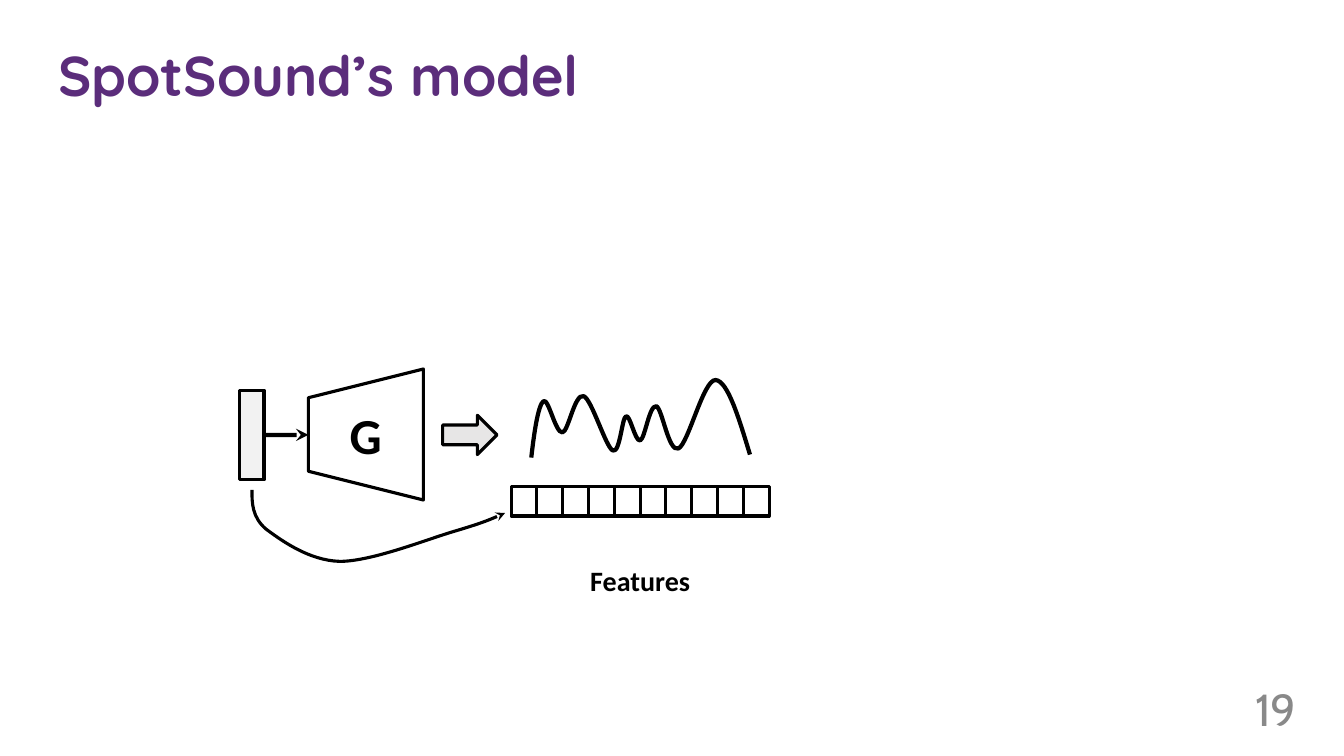
import pptx
import pptx.dml.color
import pptx.enum.shapes
import pptx.enum.text
import pptx.oxml
import pptx.oxml.ns
import pptx.oxml.xmlchemy
import pptx.util

RGBColor = pptx.dml.color.RGBColor
PURPLE = RGBColor(0x5B, 0x2D, 0x7B)
BLACK = RGBColor(0, 0, 0)
GREY = RGBColor(0x89, 0x89, 0x89)
ARROW_GREY = RGBColor(0xE7, 0xE6, 0xE6)
PALE_GREY = RGBColor(0xF2, 0xF2, 0xF2)

Pt = pptx.util.Pt
SHAPE = pptx.enum.shapes.MSO_SHAPE
ALIGN = pptx.enum.text.PP_ALIGN
qn = pptx.oxml.ns.qn
OxmlElement = pptx.oxml.xmlchemy.OxmlElement

# The slide is a grid of 100 columns by 100 rows.
WIDTH, HEIGHT = pptx.util.Inches(13.33), pptx.util.Inches(7.5)

STRIP_LEFT, STRIP_TOP, STRIP_HEIGHT = 38.03, 64.4, 3.87
CELL_WIDTH, CELL_COUNT = 1.92, 10
STRIP_WIDTH = CELL_WIDTH * CELL_COUNT
AXIS_ROW = 57.53

# Each curve: a start point, then rows of two control points and an end point.
SKIP_CURVE = [
    (18.75, 64.8),
    (18.75, 66.53), (18.75, 68.4), (19.8, 70),
    (20.93, 71.47), (22.95, 74.13), (25.28, 74.27),
    (27.68, 74.27), (31.8, 71.33), (33.83, 70.27),
    (35.85, 69.2), (36.75, 68.53), (37.58, 67.87),
]
SOUND_WAVE = [
    (39.53, 60.53),
    (39.75, 57.07), (40.05, 53.6), (40.43, 53.07),
    (40.8, 52.53), (41.33, 57.33), (41.85, 57.2),
    (42.3, 57.07), (42.75, 52), (43.43, 52.4),
    (44.03, 52.8), (45.08, 59.2), (45.6, 59.6),
    (46.13, 60), (46.28, 55.2), (46.58, 55.07),
    (46.88, 54.8), (47.25, 58.4), (47.63, 58.27),
    (48, 58), (48.3, 53.6), (48.83, 53.73),
    (49.28, 54), (49.73, 59.87), (50.48, 59.33),
    (51.23, 58.67), (52.35, 50.13), (53.25, 50.27),
    (54.15, 50.4), (54.98, 55.33), (55.8, 60.13),
]


def grid(*values):
    """Turn alternating columns and rows into slide lengths."""
    return [round(v * (HEIGHT if i % 2 else WIDTH) / 100)
            for i, v in enumerate(values)]


def style_line(sp, weight, arrow=False):
    sp.line.color.rgb = BLACK
    sp.line.width = Pt(weight)
    if arrow:
        tail = OxmlElement("a:tailEnd")
        tail.set("type", "stealth")
        sp.line._get_or_add_ln().append(tail)


def add_text(s, box, text, font, size, color, bold=True, align=ALIGN.LEFT,
             wrap=True):
    tf = s.shapes.add_textbox(*grid(*box)).text_frame
    tf.word_wrap = wrap
    p = tf.paragraphs[0]
    p.alignment = align
    r = p.add_run()
    r.text = text
    r.font.name, r.font.size, r.font.bold = font, Pt(size), bold
    r.font.color.rgb = color
    return tf


def add_block(s, kind, box, fill=None):
    sp = s.shapes.add_shape(kind, *grid(*box))
    sp.shadow.inherit = False
    if fill is None:
        sp.fill.background()
    else:
        sp.fill.solid()
        sp.fill.fore_color.rgb = fill
    style_line(sp, 2.25)
    return sp


def add_line(s, ends, weight, arrow=False):
    line = s.shapes.add_connector(
        pptx.enum.shapes.MSO_CONNECTOR.STRAIGHT, *grid(*ends))
    style_line(line, weight, arrow)
    line._element.spPr.append(OxmlElement("a:effectLst"))
    return line


def add_curve(s, points, weight, arrow=False):
    """Draw an open outline and merge its points by threes into curves."""
    start, *rest = [grid(*point) for point in points]
    builder = s.shapes.build_freeform(*start)
    builder.add_line_segments(rest, close=False)
    sp = builder.convert_to_shape()
    segments = list(sp._element.iter(qn("a:lnTo")))
    for i in range(0, len(segments), 3):
        bezier = OxmlElement("a:cubicBezTo")
        segments[i].addprevious(bezier)
        for segment in segments[i:i + 3]:
            bezier.append(segment[0])
            segment.getparent().remove(segment)
    sp.shadow.inherit = False
    sp.fill.background()
    style_line(sp, weight, arrow)


def add_feature_strip(s):
    add_block(s, SHAPE.RECTANGLE,
              (STRIP_LEFT, STRIP_TOP, STRIP_WIDTH, STRIP_HEIGHT))
    for i in range(1, CELL_COUNT):
        x = STRIP_LEFT + i * CELL_WIDTH
        add_line(s, (x, STRIP_TOP, x, STRIP_TOP + STRIP_HEIGHT), 2.25)


def add_slide_number(s):
    tf = add_text(s, (93.08, 93.33, 5.18, 4.27), "19", "Cabin", 32, GREY,
                  bold=False)
    tf.margin_left = tf.margin_right = tf.margin_top = tf.margin_bottom = 0
    p = tf.paragraphs[0]
    p.line_spacing = Pt(21.2)
    p._p.get_or_add_pPr().set("marL", str(pptx.util.Inches(0.04)))


def add_generator(s):
    code = add_block(s, SHAPE.RECTANGLE, (17.85, 51.6, 1.8, 11.87), PALE_GREY)
    trapezoid = add_block(s, SHAPE.TRAPEZOID, (22.35, 49.87, 9.75, 15.2))
    trapezoid.rotation = 270
    add_text(s, (25.28, 52.8, 3.9, 9.47), "G", "Calibri", 36, BLACK,
             wrap=False)
    add_block(s, SHAPE.RIGHT_ARROW, (32.93, 54.93, 4.05, 5.2), ARROW_GREY)
    arrow = add_line(s, (19.65, AXIS_ROW, 22.95, AXIS_ROW), 3, arrow=True)
    arrow.begin_connect(code, 3)


def main():
    prs = pptx.Presentation()
    prs.slide_width, prs.slide_height = WIDTH, HEIGHT
    s = prs.slides.add_slide(prs.slide_layouts[6])
    add_slide_number(s)
    add_text(s, (3.6, 4.67, 58.65, 10.27), "SpotSound’s model", "Quicksand",
             40, PURPLE)
    add_generator(s)
    add_curve(s, SKIP_CURVE, 2.25, arrow=True)
    add_curve(s, SOUND_WAVE, 3)
    add_feature_strip(s)
    add_text(s, (STRIP_LEFT, 73.87, STRIP_WIDTH, 5.87), "Features", "Calibri",
             20, BLACK, align=ALIGN.CENTER)
    prs.save("out.pptx")


if __name__ == "__main__":
    main()
